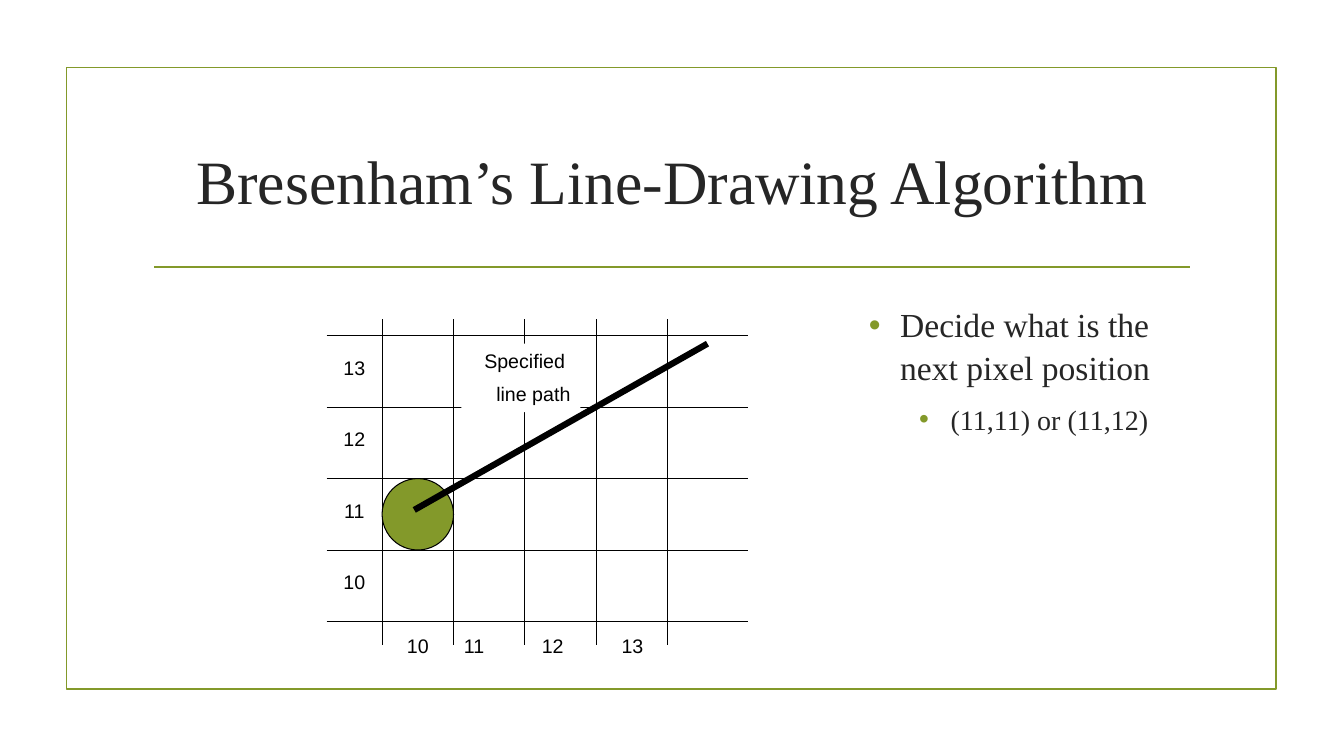
"""Build the slide on Bresenham's line-drawing algorithm."""
from lxml import etree
from pptx import Presentation, util as u
from pptx.dml.color import RGBColor
from pptx.enum import shapes as sh, text as tx
from pptx.oxml.ns import qn

TITLE = "Bresenham’s Line-Drawing Algorithm"
POINTS = [
    ("Decide what is the next pixel position", 0, 24, 0.79),
    ("(11,11) or (11,12)", 1, 20, 2.06),
]
LABEL = ["Specified ", "line path"]
COLS = [("10", 9.63), ("11", 11.05), ("12", 13.03), ("13", 15.04)]
ROWS = ["13", "12", "11", "10"]

HUES = {"green": "83992A", "ink": "262626", "black": "000000", "white": "FFFFFF"}
SERIF, SANS = "Times New Roman", "Arial"
CELL, LINES = 1.8, 5
LEFT, TOP = 9.63, 8.46
ALIGN = tx.PP_ALIGN


def hue(name):
    return RGBColor.from_string(HUES[name])


def put(obj, **vals):
    for key, val in vals.items():
        setattr(obj, key, val)


def place(shape, x, y, w, h):
    put(shape, left=u.Cm(x), top=u.Cm(y), width=u.Cm(w), height=u.Cm(h))


def write(par, words, size, face, color, **vals):
    run = par.add_run()
    run.text = words
    put(run.font, size=u.Pt(size), name=face)
    run.font.color.rgb = hue(color)
    put(par, **vals)


def rule(x1, y1, x2, y2, color="black", width=0.75):
    line = slide.shapes.add_connector(
        sh.MSO_CONNECTOR.STRAIGHT, *map(u.Cm, (x1, y1, x2, y2)))
    line.line.color.rgb = hue(color)
    line.line.width = u.Pt(width)
    etree.SubElement(line._element.spPr, qn("a:effectLst"))


def block(kind, box, fill=None, edge=None, width=0.75):
    shape = slide.shapes.add_shape(kind, *map(u.Cm, box))
    shape.shadow.inherit = False
    if fill:
        shape.fill.solid()
        shape.fill.fore_color.rgb = hue(fill)
    else:
        shape.fill.background()
    if edge:
        shape.line.color.rgb = hue(edge)
        shape.line.width = u.Pt(width)
    else:
        shape.line.fill.background()
    return shape


def number(words, x, y):
    frame = slide.shapes.add_textbox(*map(u.Cm, (x, y, CELL, 0.84))).text_frame
    frame.word_wrap = True
    write(frame.paragraphs[0], words, 14, SANS, "black", alignment=ALIGN.CENTER)


def bullet(par, indent):
    props = par._p.get_or_add_pPr()
    props.set("marL", str(u.Cm(indent)))
    props.set("indent", str(-u.Cm(0.79)))
    tint = etree.SubElement(props, qn("a:buClr"))
    etree.SubElement(tint, qn("a:srgbClr"), val=HUES["green"])
    etree.SubElement(props, qn("a:buFont"), typeface=SANS)
    etree.SubElement(props, qn("a:buChar"), char="•")


deck = Presentation()
put(deck, slide_width=u.Cm(33.87), slide_height=u.Cm(19.05))
slide = deck.slides.add_slide(deck.slide_layouts[1])
title, body = slide.placeholders

block(sh.MSO_SHAPE.RECTANGLE, (1.68, 1.7, 30.48, 15.67), edge="green", width=1.25)
rule(3.89, 6.73, 30, 6.73, "green", 1.25)

place(title, 3.61, 2.72, 26.67, 3.63)
put(title.text_frame, vertical_anchor=tx.MSO_ANCHOR.MIDDLE,
    auto_size=tx.MSO_AUTO_SIZE.NONE)
write(title.text_frame.paragraphs[0], TITLE, 44, SERIF, "ink", alignment=ALIGN.CENTER)

place(body, 21.64, 7.49, 8.64, 11.5)
frame = body.text_frame
put(frame, auto_size=tx.MSO_AUTO_SIZE.NONE, vertical_anchor=tx.MSO_ANCHOR.TOP)
for i, (words, level, size, indent) in enumerate(POINTS):
    par = frame.add_paragraph() if i else frame.paragraphs[0]
    bullet(par, indent)
    write(par, words, size, SERIF, "ink", level=level, line_spacing=1.05,
          space_before=u.Pt(10 if i else 0))

for i in range(LINES):
    x, y = LEFT + i * CELL, TOP + i * CELL
    rule(8.23, y, 18.85, y)
    rule(x, 8.05, x, 16.26)

block(sh.MSO_SHAPE.OVAL, (LEFT, TOP + 2 * CELL, CELL, CELL), "green", "black")
rule(10.44, 12.85, 17.83, 8.66, width=4.5)

frame = block(sh.MSO_SHAPE.RECTANGLE, (11.63, 8.66, 3, 1.73), "white").text_frame
put(frame, vertical_anchor=tx.MSO_ANCHOR.TOP, word_wrap=True)
for i, words in enumerate(LABEL):
    par = frame.add_paragraph() if i else frame.paragraphs[0]
    write(par, words, 14, SANS, "black", alignment=ALIGN.RIGHT,
          space_before=u.Pt(7 if i else 0))

for words, x in COLS:
    number(words, x, 15.85)
for i, words in enumerate(ROWS):
    number(words, 8.03, 8.84 + i * CELL)

deck.save("out.pptx")
